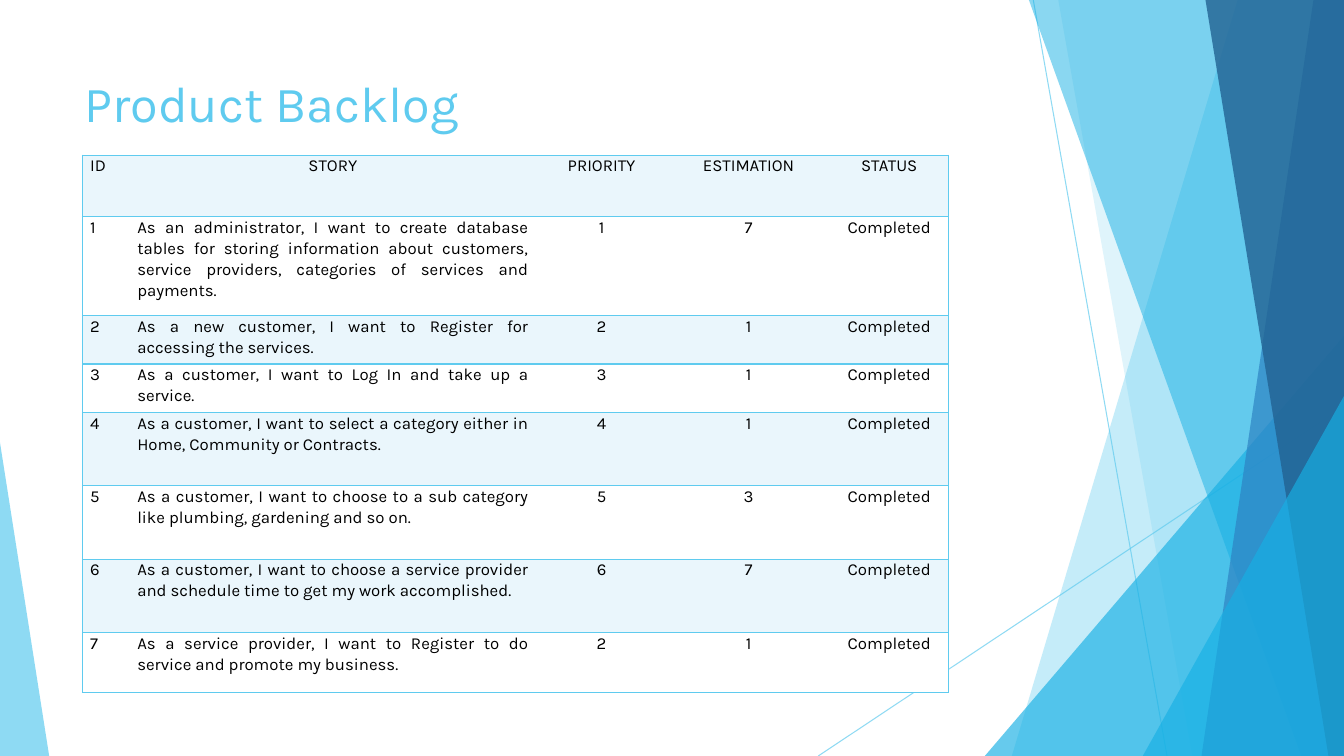
from pptx import Presentation
from pptx.dml.color import RGBColor
from pptx.enum.shapes import MSO_CONNECTOR, MSO_SHAPE
from pptx.enum.text import PP_ALIGN
from pptx.oxml.ns import qn
from pptx.util import Cm, Pt
from lxml import etree

LINE = MSO_CONNECTOR.STRAIGHT
WEDGE = MSO_SHAPE.ISOSCELES_TRIANGLE
CENTER = PP_ALIGN.CENTER
JUSTIFY = PP_ALIGN.JUSTIFY

FONT = "Karla"
SKY, AQUA, BLUE, NAVY = "5FCBEF", "17B0E4", "2E83C3", "226292"
PALE, WHITE, BLACK = "EAF6FC", "FFFFFF", "000000"
WIDE, HIGH = 33.87, 19.05

RAYS = [(26.04, 0, 29.41, HIGH), (WIDE, 10.24, 20.62, HIGH)]
BACK = [(31.19, 25.5, SKY, 36), (26.67, 30.05, SKY, 20)]
FRONT = [(25.93, 32.79, AQUA, 50), (33.1, 30.28, BLUE, 70), (30.38, 33.48, NAVY, 80)]

COLS = [1.19, 10.24, 3.3, 4.11, 2.98]
ROWS = [1.55, 2.49, 1.22, 1.22, 1.85, 1.85, 1.85, 1.52]
HEAD = ["ID", "STORY", "PRIORITY", "ESTIMATION", "STATUS"]
TASKS = [
    ("As an administrator, I want to create database tables for storing information "
     "about customers, service providers, categories of services and payments.", 1, 7),
    ("As a new customer, I want to Register for accessing the services.", 2, 1),
    ("As a customer, I want to Log In and take up a service.", 3, 1),
    ("As a customer, I want to select a category either in Home, Community or Contracts.", 4, 1),
    ("As a customer, I want to choose to a sub category like plumbing, gardening and so on.", 5, 3),
    ("As a customer, I want to choose a service provider and schedule time to get my work "
     "accomplished.", 6, 7),
    ("As a service provider, I want to Register to do service and promote my business.", 2, 1),
]


def color(code):
    return RGBColor.from_string(code)


def fade(shape, part):
    for tint in shape.element.spPr.iter(qn("a:srgbClr")):
        etree.SubElement(tint, qn("a:alpha")).set("val", str(part * 1000))


def paint(shape, code, part):
    shape.shadow.inherit = False
    shape.fill.solid()
    shape.fill.fore_color.rgb = color(code)
    shape.line.fill.background()
    fade(shape, part)


def add_ray(slide, ends):
    ray = slide.shapes.add_connector(LINE, *[Cm(end) for end in ends])
    ray.line.color.rgb = color(SKY)
    ray.line.width = Pt(0.75)
    fade(ray, 70)
    etree.SubElement(ray.element.spPr, qn("a:effectLst"))


def add_band(slide, top, base, code, part):
    pen = slide.shapes.build_freeform(Cm(top), 0)
    spots = [(WIDE, 0), (WIDE, HIGH), (base, HIGH)]
    pen.add_line_segments([(Cm(x), Cm(y)) for x, y in spots], close=True)
    paint(pen.convert_to_shape(), code, part)


def add_wedge(slide, left, right, top, peak, code, part):
    box = [Cm(size) for size in (left, top, right - left, HIGH - top)]
    wedge = slide.shapes.add_shape(WEDGE, *box)
    wedge.adjustments[0] = peak
    paint(wedge, code, part)


def style(text, size, code):
    for run in text.runs:
        run.font.name = FONT
        run.font.size = Pt(size)
        run.font.color.rgb = color(code)


def add_title(slide, words):
    box = slide.shapes.add_textbox(Cm(1.88), Cm(1.7), Cm(23.88), Cm(3.66))
    box.text_frame.word_wrap = True
    box.text_frame.text = words
    style(box.text_frame.paragraphs[0], 36, SKY)


def add_edge(cell, side, shown):
    edge = etree.SubElement(cell._tc.get_or_add_tcPr(), qn("a:ln" + side), w=str(Pt(1)))
    if shown:
        fill = etree.SubElement(edge, qn("a:solidFill"))
        etree.SubElement(fill, qn("a:srgbClr"), val=SKY)
    else:
        etree.SubElement(edge, qn("a:noFill"))


def fill_cell(cell, words, align, code, first, last):
    for side, shown in (("L", first), ("R", last), ("T", True), ("B", True)):
        add_edge(cell, side, shown)
    cell.fill.solid()
    cell.fill.fore_color.rgb = color(code)
    cell.margin_left = cell.margin_right = Cm(0.19)
    cell.margin_top = cell.margin_bottom = 0
    cell.text_frame.text = words
    text = cell.text_frame.paragraphs[0]
    text.alignment = align
    text.line_spacing = 1.07
    text.space_after = Pt(8)
    style(text, 12, BLACK)


def add_grid(slide, lines):
    frame = slide.shapes.add_table(len(ROWS), len(COLS), Cm(2.08), Cm(3.91),
                                   Cm(sum(COLS)), Cm(sum(ROWS)))
    grid = frame.table
    grid.first_row = grid.horz_banding = False
    for col, width in zip(grid.columns, COLS):
        col.width = Cm(width)
    for row, height in zip(grid.rows, ROWS):
        row.height = Cm(height)
    for r, line in enumerate(lines):
        for c, words in enumerate(line):
            left = c == 0 or (c == 1 and r > 0)
            fill_cell(grid.cell(r, c), words, JUSTIFY if left else CENTER,
                      WHITE if r % 2 else PALE, c == 0, c == len(COLS) - 1)


def main():
    deck = Presentation()
    deck.slide_width, deck.slide_height = Cm(WIDE), Cm(HIGH)
    slide = deck.slides.add_slide(deck.slide_layouts[6])
    for ends in RAYS:
        add_ray(slide, ends)
    for band in BACK:
        add_band(slide, *band)
    add_wedge(slide, 24.82, WIDE, 8.46, 1, AQUA, 66)
    for band in FRONT:
        add_band(slide, *band)
    add_wedge(slide, 28.8, WIDE, 9.98, 1, AQUA, 66)
    add_wedge(slide, 0, 1.24, 11.15, 0, SKY, 70)
    add_title(slide, "Product Backlog")
    lines = [[str(i), story, str(rank), str(days), "Completed"]
             for i, (story, rank, days) in enumerate(TASKS, 1)]
    add_grid(slide, [HEAD] + lines)
    deck.save("out.pptx")


if __name__ == "__main__":
    main()
